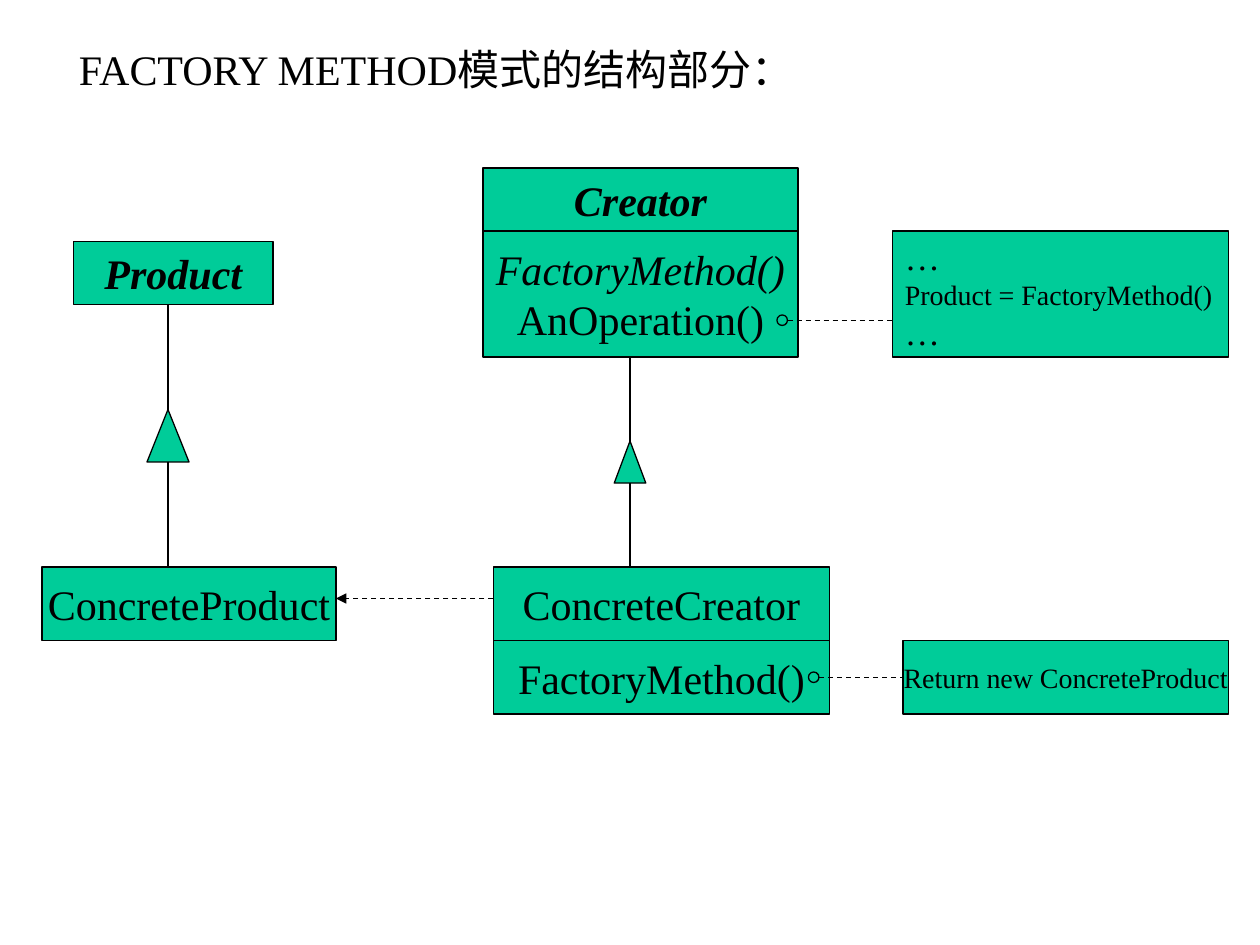
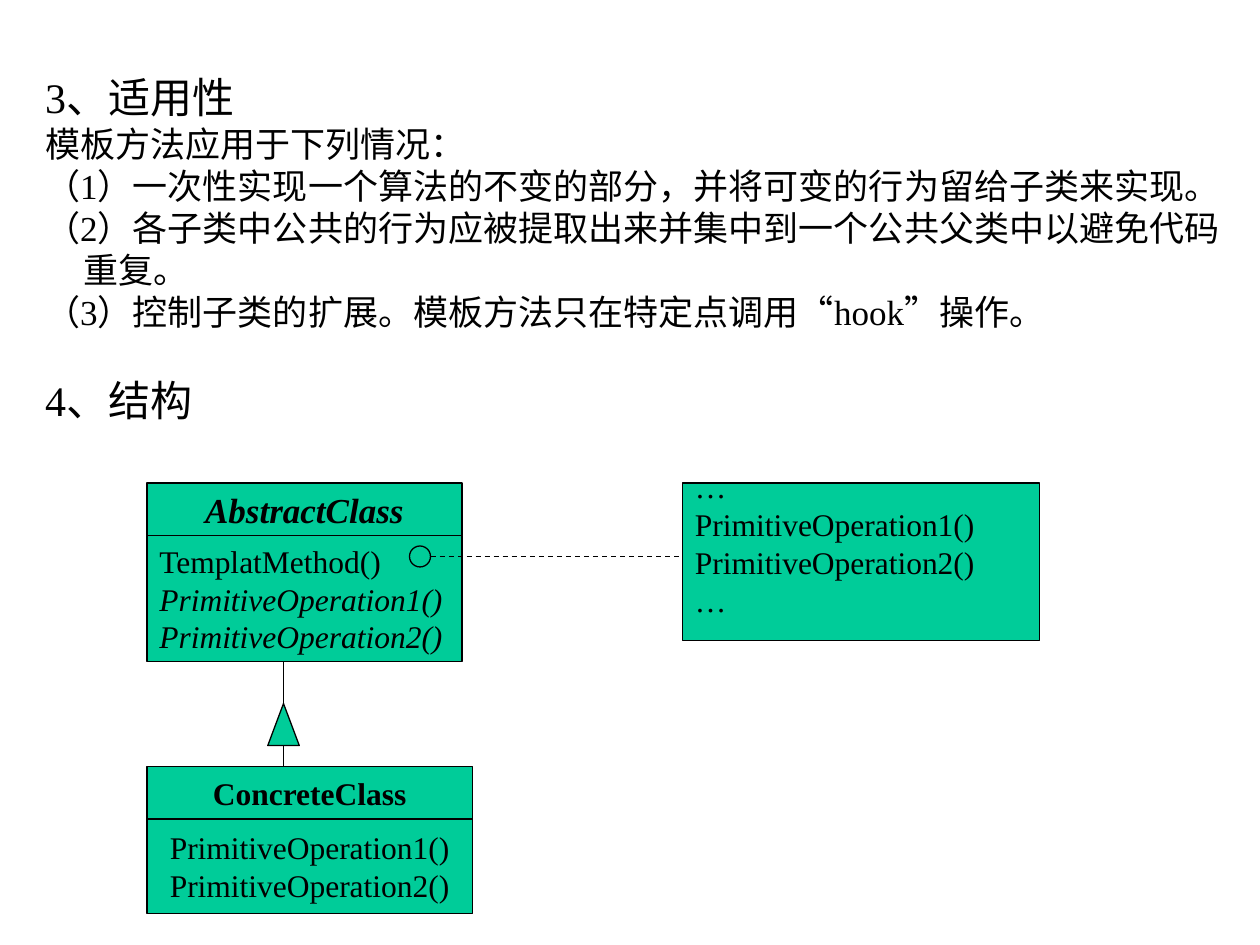
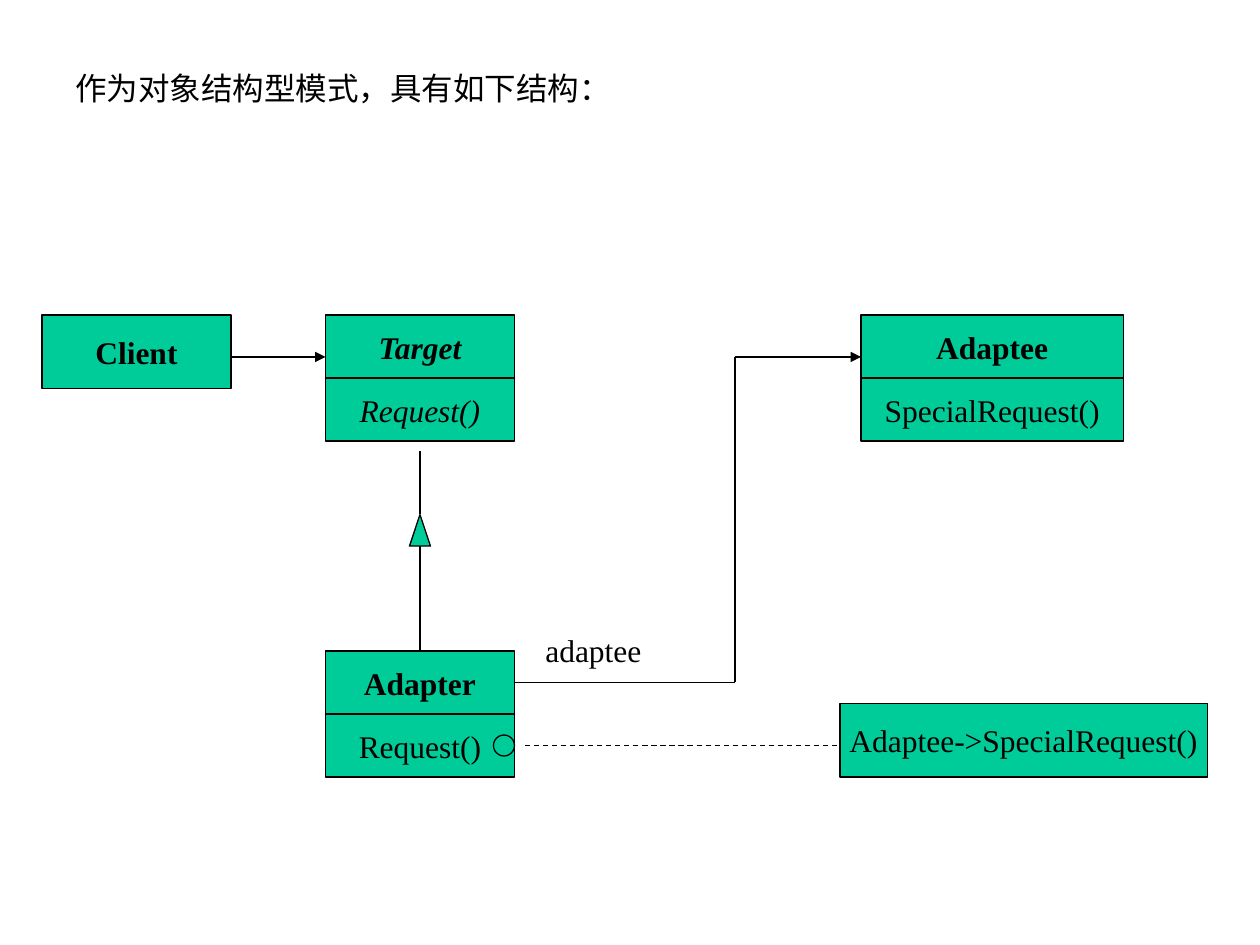
from dataclasses import dataclass, field

from lxml import etree
from pptx import Presentation
from pptx import util as u
from pptx.dml import color
from pptx.enum import dml, shapes, text
from pptx.oxml import ns


@dataclass(frozen=True)
class Theme:
    ink = color.RGBColor(0x00, 0x00, 0x00)
    fill = color.RGBColor(0x00, 0xCC, 0x99)
    font = "Times New Roman"
    large = 24
    medium = 20
    body = 18
    note = 16
    stroke = 0.75


@dataclass
class Line:
    text: str
    size: int = Theme.body
    style: str = ""
    before: float = 0
    indent: float = 0


@dataclass
class Section:
    height: float
    lines: list
    align: text.PP_ALIGN = text.PP_ALIGN.CENTER
    bottom_inset: float = 3.6


@dataclass
class Diagram:
    labels: list
    classes: list
    inheritances: list
    callouts: list
    links: list = field(default_factory=list)


LEFT = text.PP_ALIGN.LEFT
T = Theme

factory_method = Diagram(
    labels=[(38, 21.6, 432.72, 36, [Line("FACTORY METHOD模式的结构部分：", T.large)])],
    classes=[
        (42, 138, 114, [Section(36, [Line("Product", T.large, "bi")])]),
        (24, 324, 168, [Section(42, [Line("ConcreteProduct", T.large)])]),
        (276, 96, 180, [
            Section(36, [Line("Creator", T.large, "bi")]),
            Section(72, [Line("FactoryMethod()", T.large, "i"), Line("AnOperation()", T.large)]),
        ]),
        (282, 324, 192, [
            Section(42, [Line("ConcreteCreator", T.large)]),
            Section(42, [Line("FactoryMethod()", T.large)]),
        ]),
        (510, 132, 192, [Section(72, [
            Line("…", T.medium),
            Line("Product = FactoryMethod()", T.note),
            Line("…", T.medium),
        ], LEFT)]),
        (516, 366, 186, [Section(42, [Line("Return new ConcreteProduct", T.note)])]),
    ],
    inheritances=[(96, 174, 234, 24, 30, 324), (360, 204, 252, 18, 24, 324)],
    callouts=[(444, 180, 6, 450, 510), (462, 384, 6, 468, 516)],
    links=[(282, 342, 192, 342, True, True)],
)

template_method = Diagram(
    labels=[(18.72, 37.44, 694.8, 208.8, [
        Line("3、适用性", T.large),
        Line("模板方法应用于下列情况：", T.medium),
        Line("（1）一次性实现一个算法的不变的部分，并将可变的行为留给子类来实现。", T.medium),
        Line("（2）各子类中公共的行为应被提取出来并集中到一个公共父类中以避免代码", T.medium),
        Line("重复。", T.medium, indent=22),
        Line("（3）控制子类的扩展。模板方法只在特定点调用“hook”操作。", T.medium),
        Line("4、结构", T.large, before=24),
    ])],
    classes=[
        (84, 276, 180, [
            Section(30, [Line("AbstractClass", T.medium, "bi")]),
            Section(72, [
                Line("TemplatMethod()"),
                Line("PrimitiveOperation1()", style="i"),
                Line("PrimitiveOperation2()", style="i"),
            ], LEFT),
        ]),
        (390, 276, 204, [Section(90, [
            Line("…"),
            Line("PrimitiveOperation1()"),
            Line("PrimitiveOperation2()"),
            Line("…"),
        ], LEFT, 25)]),
        (84, 438, 186, [
            Section(30, [Line("ConcreteClass", style="b")]),
            Section(54, [Line("PrimitiveOperation1()"), Line("PrimitiveOperation2()")]),
        ]),
    ],
    inheritances=[(162, 378, 402, 18, 24, 438)],
    callouts=[(234, 312, 12, 246, 390)],
)

object_adapter = Diagram(
    labels=[
        (36, 36, 320.4, 28.8, [Line("作为对象结构型模式，具有如下结构：")]),
        (304.56, 357.12, 69.12, 28.8, [Line("adaptee")]),
    ],
    classes=[
        (24, 180, 108, [Section(42, [Line("Client", style="b")])]),
        (186, 180, 108, [
            Section(36, [Line("Target", style="bi")]),
            Section(36, [Line("Request()", style="i")]),
        ]),
        (492, 180, 150, [
            Section(36, [Line("Adaptee", style="b")]),
            Section(36, [Line("SpecialRequest()")]),
        ]),
        (186, 372, 108, [
            Section(36, [Line("Adapter", style="b")]),
            Section(36, [Line("Request()")]),
        ]),
        (480, 402, 210, [Section(42, [Line("Adaptee->SpecialRequest()")])]),
    ],
    inheritances=[(240, 258, 294, 12, 18, 372)],
    callouts=[(282, 420, 12, 300, 480)],
    links=[
        (132, 204, 186, 204, False, True),
        (294, 390, 420, 390, False, False),
        (420, 390, 420, 204, False, False),
        (420, 204, 492, 204, False, True),
    ],
)


def write(box, lines, align=LEFT, bottom_inset=3.6):
    frame = box.text_frame
    frame.word_wrap = False
    frame.margin_left = frame.margin_right = u.Pt(7.2)
    frame.margin_top = u.Pt(3.6)
    frame.margin_bottom = u.Pt(bottom_inset)
    for number, line in enumerate(lines):
        para = frame.add_paragraph() if number else frame.paragraphs[0]
        para.text = line.text
        para.alignment = align
        if line.before:
            para.space_before = u.Pt(line.before)
        if line.indent:
            para._p.get_or_add_pPr().set("marL", str(u.Pt(line.indent)))
        para.font.name = T.font
        para.font.size = u.Pt(line.size)
        para.font.bold = "b" in line.style
        para.font.italic = "i" in line.style
        para.font.color.rgb = T.ink


def add_figure(page, kind, *bounds):
    figure = page.shapes.add_shape(kind, *map(u.Pt, bounds))
    figure.shadow.inherit = False
    figure.fill.solid()
    figure.fill.fore_color.rgb = T.fill
    figure.line.color.rgb = T.ink
    figure.line.width = u.Pt(T.stroke)
    return figure


deck = Presentation()
deck.slide_width = u.Pt(720)
deck.slide_height = u.Pt(540)

for diagram in (factory_method, template_method, object_adapter):
    page = deck.slides.add_slide(deck.slide_layouts[6])

    for left, top, width, height, lines in diagram.labels:
        label = page.shapes.add_textbox(*map(u.Pt, (left, top, width, height)))
        write(label, lines)
        label.text_frame.auto_size = text.MSO_AUTO_SIZE.SHAPE_TO_FIT_TEXT

    for left, top, width, sections in diagram.classes:
        for section in sections:
            box = add_figure(page, shapes.MSO_SHAPE.RECTANGLE, left, top, width, section.height)
            box.text_frame.vertical_anchor = text.MSO_ANCHOR.MIDDLE
            write(box, section.lines, section.align, section.bottom_inset)
            top += section.height

    links = list(diagram.links)
    for x, parent, tip, width, height, child in diagram.inheritances:
        add_figure(page, shapes.MSO_SHAPE.ISOSCELES_TRIANGLE, x - width / 2, tip, width, height)
        links.append((x, parent, x, tip, False, False))
        links.append((x, tip + height, x, child, False, False))

    for left, top, size, start, end in diagram.callouts:
        add_figure(page, shapes.MSO_SHAPE.OVAL, left, top, size, size)
        middle = top + size / 2
        links.append((start, middle, end, middle, True, False))

    for x1, y1, x2, y2, dashed, arrow in links:
        link = page.shapes.add_connector(
            shapes.MSO_CONNECTOR.STRAIGHT, *map(u.Pt, (x1, y1, x2, y2))
        )
        link.line.color.rgb = T.ink
        link.line.width = u.Pt(T.stroke)
        if dashed:
            link.line.dash_style = dml.MSO_LINE.DASH
        properties = link._element.spPr
        if arrow:
            outline = properties.find(ns.qn("a:ln"))
            etree.SubElement(outline, ns.qn("a:tailEnd"), type="triangle")
        etree.SubElement(properties, ns.qn("a:effectLst"))

deck.save("out.pptx")
